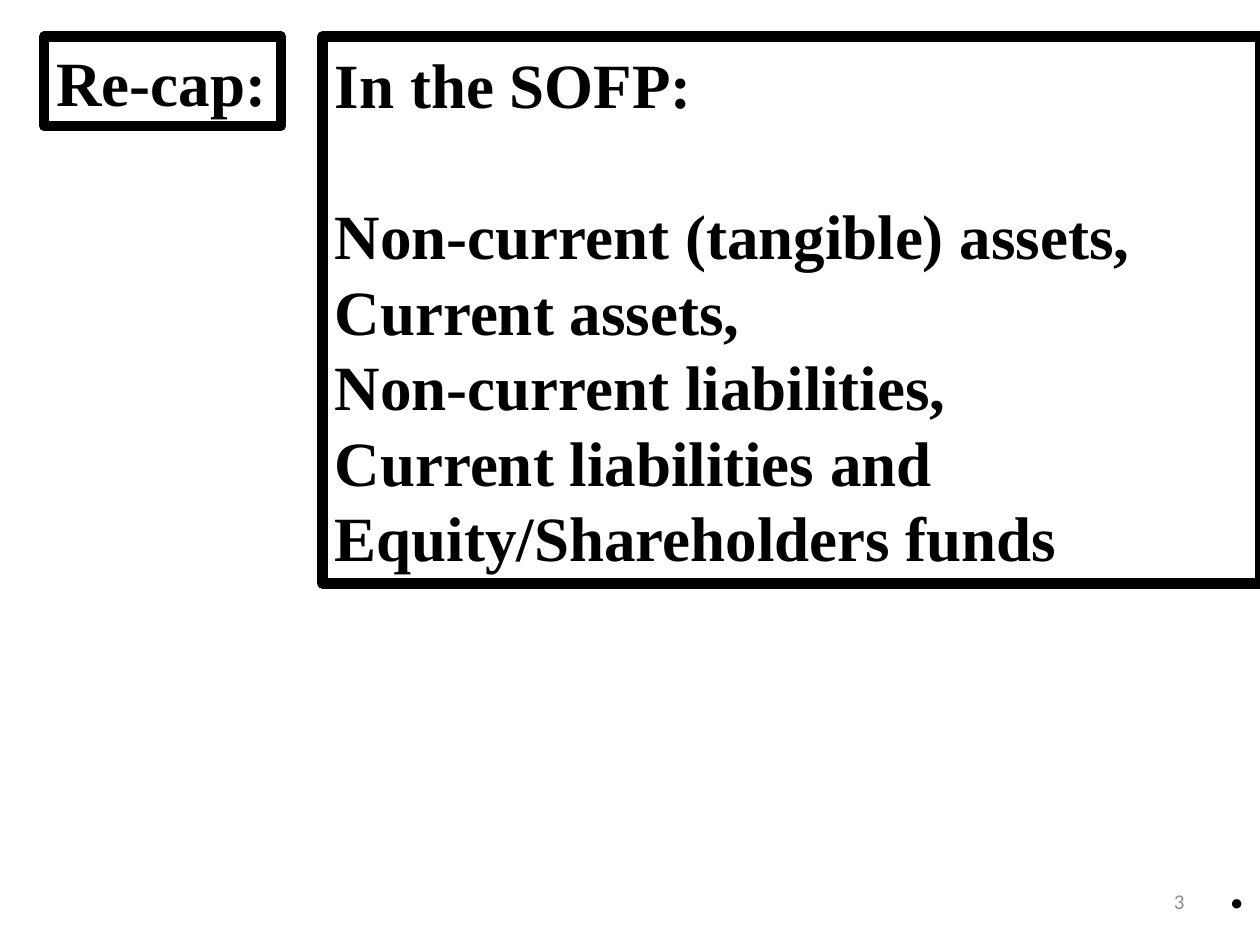
import pptx
import pptx.util
import pptx.dml.color
import pptx.enum.shapes
import pptx.enum.text

Inches, Pt = pptx.util.Inches, pptx.util.Pt
ALIGN = pptx.enum.text.PP_ALIGN
ANCHOR = pptx.enum.text.MSO_ANCHOR

HEADING = {"name": "Times New Roman", "size": Pt(36), "bold": True}
NUMBER = {"name": "Calibri", "size": Pt(12)}
DOT = {"name": "Calibri", "size": Pt(36), "bold": True}
LINE_PITCH = Pt(43.2)


def rgb(value):
    return pptx.dml.color.RGBColor.from_string(value)


def write(p, text, fmt, color):
    r = p.add_run()
    r.text = text
    for key, value in fmt.items():
        setattr(r.font, key, value)
    r.font.color.rgb = rgb(color)


def framed_box(s, box, lines, wrap=True):
    """Thick black frame with one heading-size paragraph per line."""
    sp = s.shapes.add_shape(pptx.enum.shapes.MSO_SHAPE.RECTANGLE, *map(Inches, box))
    sp.shadow.inherit = False
    sp.fill.background()
    sp.line.color.rgb = rgb("000000")
    sp.line.width = Pt(6)
    tf = sp.text_frame
    tf.word_wrap = wrap
    tf.vertical_anchor = ANCHOR.MIDDLE
    for i, line in enumerate(lines):
        p = tf.paragraphs[0] if i == 0 else tf.add_paragraph()
        p.alignment = ALIGN.LEFT
        p.line_spacing = LINE_PITCH
        if i == 1:  # one line of air below the opening line
            p.space_before = LINE_PITCH
        write(p, line, HEADING, "000000")


def label(s, box, text, fmt, color, align, anchor):
    """Unframed single-line text."""
    tf = s.shapes.add_textbox(*map(Inches, box)).text_frame
    tf.word_wrap = True
    tf.vertical_anchor = anchor
    p = tf.paragraphs[0]
    p.alignment = align
    write(p, text, fmt, color)


def main():
    prs = pptx.Presentation()
    prs.slide_width, prs.slide_height = Inches(10), Inches(7.5)
    s = prs.slides.add_slide(prs.slide_layouts[6])

    # Slide number
    label(s, (7.17, 6.95, 2.33, 0.4), "3", NUMBER, "8C8C8C", ALIGN.RIGHT, ANCHOR.MIDDLE)

    # Recap heading and statement contents
    framed_box(s, (0.35, 0.29, 1.88, 0.71), ["Re-cap:"], wrap=False)
    framed_box(s, (2.56, 0.29, 7.44, 4.34), [
        "In the SOFP:",
        "Non-current (tangible) assets,",
        "Current assets,",
        "Non-current liabilities,",
        "Current liabilities and",
        "Equity/Shareholders funds",
    ])

    # Closing dot
    label(s, (9.65, 6.66, 0.34, 0.71), ".", DOT, "000000", ALIGN.LEFT, ANCHOR.TOP)

    prs.save("out.pptx")


if __name__ == "__main__":
    main()
